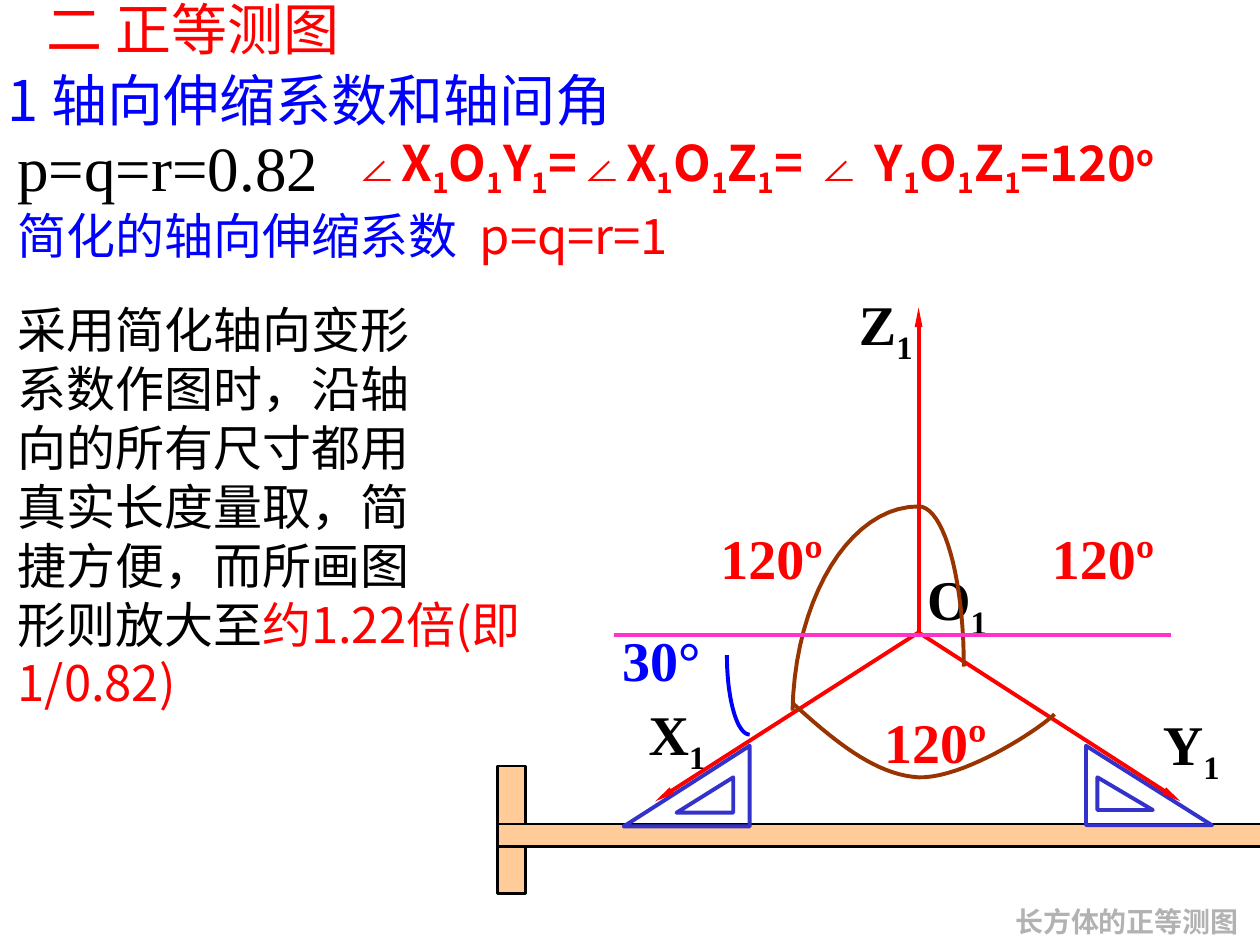
"""Build a slide on the axes and scale factors of the isometric drawing."""
from lxml import etree
from pptx import Presentation
from pptx import util as u
from pptx.dml.color import RGBColor
from pptx.enum import shapes, text
from pptx.oxml.ns import qn

RED = RGBColor(0xFF, 0x00, 0x00)
BLUE = RGBColor(0x00, 0x00, 0xFF)
BLACK = RGBColor(0x00, 0x00, 0x00)
GREY = RGBColor(0xB2, 0xB2, 0xB2)
BROWN = RGBColor(0x99, 0x33, 0x00)
PINK = RGBColor(0xFF, 0x33, 0xCC)
INDIGO = RGBColor(0x33, 0x33, 0xCC)
WOOD = RGBColor(0xFF, 0xCC, 0x99)

SANS, SERIF, ARIAL = "Noto Sans CJK SC", "Times New Roman", "Arial"
SUBSCRIPT, SUPERSCRIPT = -25000, 30000

TITLE = [[("二 正等测图", {})]]
TITLE_BOX = (19.4, -6.5, 289.4, 46.1)
TITLE_STYLE = {"size": 32, "name": SANS, "color": RED}
BODY = [[(line, {})] for line in (
    "采用简化轴向变形", "系数作图时，沿轴", "向的所有尺寸都用",
    "真实长度量取，简", "捷方便，而所画图")]
BODY.append([("形则放大至", {}), ("约1.22倍(即 1/0.82)", {"color": RED})])
BODY_BOX = (2.9, 167.8, 318.2, 242.6)
BODY_STYLE = {"size": 28, "name": SANS, "color": BLACK}

ANGLES = [("X", "Y", "="), ("X", "Z", "= "), (" Y", "Z", "=120")]
ANGLE_RUNS = []
for first, last, ending in ANGLES:
    ANGLE_RUNS.append(("∠", {"name": ARIAL}))
    for letter in (first, "O", last):
        ANGLE_RUNS += [(letter, {}), ("1", {"baseline": SUBSCRIPT})]
    ANGLE_RUNS.append((ending, {}))
ANGLE_RUNS.append(("o", {"baseline": SUPERSCRIPT}))

LABEL = {"size": 32, "name": SERIF, "bold": True}
AXIS_LABEL_SIZE = (75, 51.1)
ANGLE_LABEL_SIZE = (100, 46.1)
TEXTS = [
    ((-2.9, 33.8, 420, 46.1), [("1 轴向伸缩系数和轴间角", {})],
     {"size": 32, "name": SANS, "color": BLUE}),
    ((2.9, 69.8, 190, 50.4), [("p=q=r=0.82", {})],
     {"size": 36, "name": SERIF, "color": BLACK}),
    ((194.4, 72, 527.8, 45.4), ANGLE_RUNS,
     {"size": 28, "name": SANS, "color": RED, "bold": True}),
    ((2.9, 113.8, 581.8, 41), [("简化的轴向伸缩系数  ", {}), ("p=q=r=1", {"color": RED})],
     {"size": 28, "name": SANS, "color": BLUE}),
    ((348.5, 354.2, *ANGLE_LABEL_SIZE), [("30°", {})], {**LABEL, "color": BLUE}),
]
AXIS_LABELS = [("Y", 657.4, 401.8), ("Z", 483.8, 162), ("O", 522.7, 319), ("X", 363.6, 396)]
TEXTS += [((left, top, *AXIS_LABEL_SIZE), [(letter, {}), ("1", {"baseline": SUBSCRIPT})],
           {**LABEL, "color": BLACK}) for letter, left, top in AXIS_LABELS]
TEXTS += [((left, top, *ANGLE_LABEL_SIZE), [("120º", {})], {**LABEL, "color": RED})
          for left, top in [(594, 295.9), (498.2, 401), (404.6, 295.9)]]
FOOTER = ((568.1, 513.4, 151.8, 26.6), [("长方体的正等测图", {})],
          {"size": 16, "name": SERIF, "east_asian": SANS, "color": GREY, "bold": True})

T_SQUARE = [(284.4, 437.8, 15.8, 72.7), (284.4, 470.9, 437.8, 13)]
RIGHT_SET_SQUARE = [(620.6, 426.2, 72, 45.4), (627.1, 444.2, 31.7, 18.7)]
LEFT_SET_SQUARE = [[(428.4, 426.2), (428.4, 472.3), (356.4, 472.3)],
                   [(419, 444.2), (419, 464.4), (386.6, 464.4)]]
ORIGIN = (524.9, 361.4)
AXIS_ENDS = [(524.9, 175.7), (674.6, 457.9), (374.4, 457.9)]
HORIZON = ((350.6, 362.9), (668.9, 362.9))
ARROWHEAD = {"type": "triangle", "w": "sm", "len": "lg"}
ARCS = [
    (BROWN, [(524.9, 289.4), (486, 289.4), (454.3, 341.3), (452.9, 406.1)]),
    (BROWN, [(524.9, 289.4), (539.3, 289.4), (550.8, 330.5), (550.8, 380.9)]),
    (BROWN, [(452.9, 401.8), (475.9, 422.6), (499.7, 442.8), (524.9, 444.2),
             (550.1, 445), (591.8, 418.3), (602.6, 408.2)]),
    (BLUE, [(428.4, 419.8), (421.2, 419.8), (415.4, 399.6), (415.4, 374.4)]),
]
CURVE_STEPS = 20


def points(values):
    return [u.Pt(value) for value in values]


def format_run(run, style):
    properties = run._r.get_or_add_rPr()
    for key, value in style.items():
        if key == "color":
            run.font.color.rgb = value
        elif key == "baseline":
            properties.set("baseline", str(value))
        elif key != "east_asian":
            setattr(run.font, key, u.Pt(value) if key == "size" else value)
    typeface = style.get("east_asian", style["name"])
    etree.SubElement(properties, qn("a:ea")).set("typeface", typeface)


def fill_text(shape, box, paragraphs, style, align=text.PP_ALIGN.LEFT):
    for key, value in zip(("left", "top", "width", "height"), points(box)):
        setattr(shape, key, value)
    frame = shape.text_frame
    frame_format = {"word_wrap": True, "vertical_anchor": text.MSO_ANCHOR.TOP,
                    "auto_size": text.MSO_AUTO_SIZE.SHAPE_TO_FIT_TEXT}
    for key, value in frame_format.items():
        setattr(frame, key, value)
    for index, runs in enumerate(paragraphs):
        paragraph = frame.add_paragraph() if index else frame.paragraphs[0]
        properties = paragraph._p.get_or_add_pPr()
        properties.set("marL", "0")
        properties.set("indent", "0")
        etree.SubElement(properties, qn("a:buNone"))
        paragraph.alignment = align
        paragraph.space_before = u.Pt(0)
        for content, changes in runs:
            run = paragraph.add_run()
            run.text = content
            format_run(run, {**style, **changes})


def add_text(slide, box, runs, style, align=text.PP_ALIGN.LEFT):
    shape = slide.shapes.add_textbox(*points(box))
    fill_text(shape, box, [runs], style, align)


def format_shape(shape, line, width=2.25, fill=None):
    shape.shadow.inherit = False
    shape.line.color.rgb = line
    shape.line.width = u.Pt(width)
    if fill is None:
        shape.fill.background()
    else:
        shape.fill.solid()
        shape.fill.fore_color.rgb = fill


def add_outline(slide, corners, color, close):
    corners = [points(corner) for corner in corners]
    builder = slide.shapes.build_freeform(*corners[0], scale=1.0)
    builder.add_line_segments(corners[1:], close=close)
    format_shape(builder.convert_to_shape(), color)


def add_line(slide, start, end, color, arrow=False):
    line = slide.shapes.add_connector(shapes.MSO_CONNECTOR.STRAIGHT, *points(start + end))
    line.line.color.rgb = color
    line.line.width = u.Pt(2.25)
    if arrow:
        etree.SubElement(line.line._get_or_add_ln(), qn("a:tailEnd"), ARROWHEAD)
    etree.SubElement(line._element.spPr, qn("a:effectLst"))


def curve(controls):
    result = [controls[0]]
    for start in range(0, len(controls) - 1, 3):
        piece = controls[start:start + 4]
        for step in range(1, CURVE_STEPS + 1):
            t = step / CURVE_STEPS
            weights = ((1 - t) ** 3, 3 * t * (1 - t) ** 2, 3 * t * t * (1 - t), t ** 3)
            result.append(tuple(sum(w * point[axis] for w, point in zip(weights, piece))
                                for axis in (0, 1)))
    return result


def main():
    presentation = Presentation()
    presentation.slide_width, presentation.slide_height = points((720, 540))
    slide = presentation.slides.add_slide(presentation.slide_layouts[1])
    fill_text(slide.shapes.title, TITLE_BOX, TITLE, TITLE_STYLE)
    fill_text(slide.placeholders[1], BODY_BOX, BODY, BODY_STYLE)
    for item in TEXTS:
        add_text(slide, *item)
    for kind, boxes, style in [
            (shapes.MSO_SHAPE.RECTANGLE, T_SQUARE, (BLACK, 1.5, WOOD)),
            (shapes.MSO_SHAPE.RIGHT_TRIANGLE, RIGHT_SET_SQUARE, (INDIGO,))]:
        for box in boxes:
            format_shape(slide.shapes.add_shape(kind, *points(box)), *style)
    for corners in LEFT_SET_SQUARE:
        add_outline(slide, corners, INDIGO, True)
    for end in AXIS_ENDS:
        add_line(slide, ORIGIN, end, RED, arrow=True)
    for color, controls in ARCS:
        add_outline(slide, curve(controls), color, False)
    add_line(slide, *HORIZON, PINK)
    add_text(slide, *FOOTER, text.PP_ALIGN.CENTER)
    presentation.save("out.pptx")


if __name__ == "__main__":
    main()
